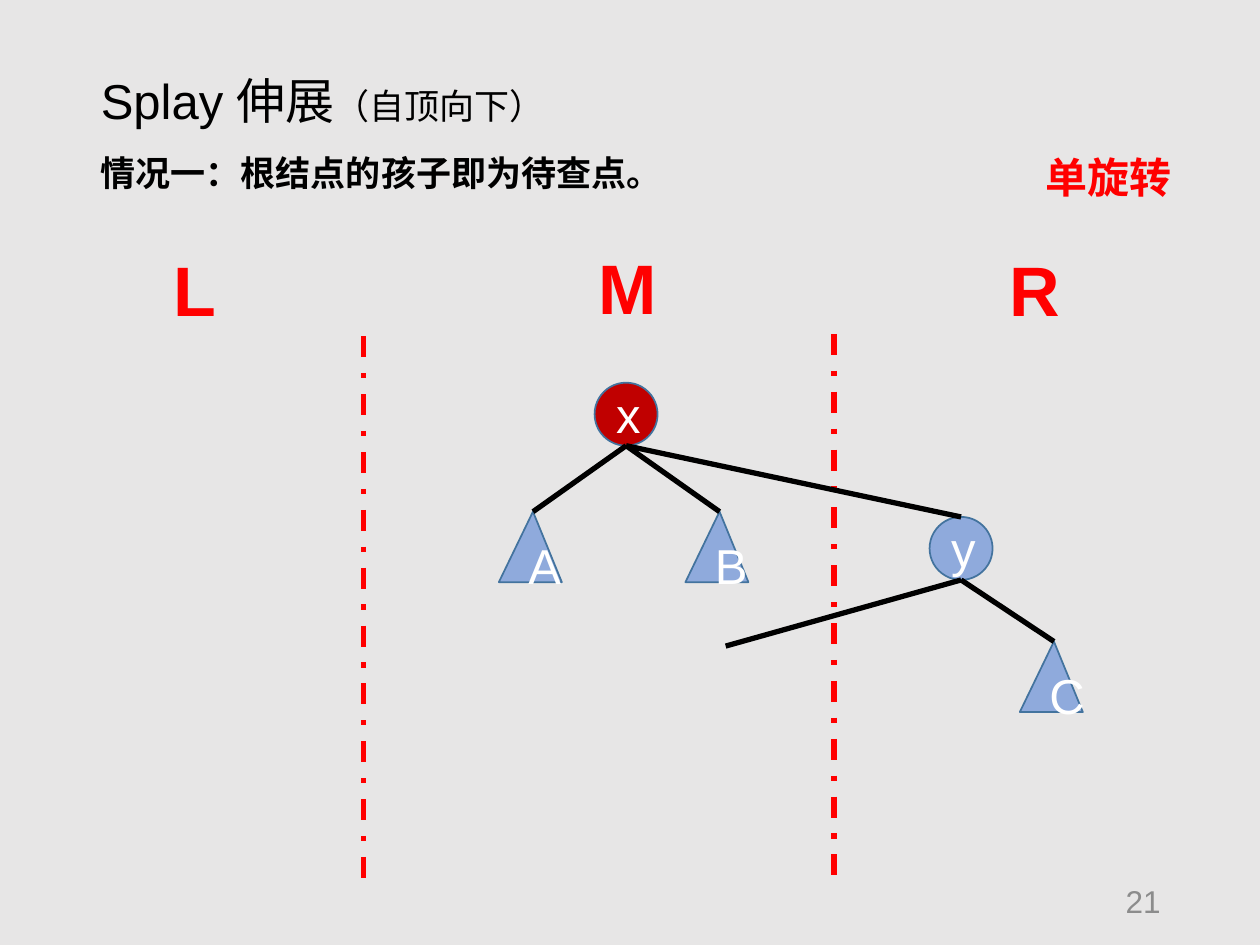
import pptx
import pptx.dml.color
import pptx.enum.dml
import pptx.enum.shapes
import pptx.enum.text
import pptx.util
from pptx.oxml.ns import qn

Pt = pptx.util.Pt
RGB = pptx.dml.color.RGBColor
MSO_SHAPE = pptx.enum.shapes.MSO_SHAPE
ALIGN = pptx.enum.text.PP_ALIGN
ANCHOR = pptx.enum.text.MSO_ANCHOR

BACKGROUND = RGB(0xE7, 0xE6, 0xE6)
BLACK = RGB(0x00, 0x00, 0x00)
WHITE = RGB(0xFF, 0xFF, 0xFF)
RED = RGB(0xFF, 0x00, 0x00)
DARK_RED = RGB(0xC0, 0x00, 0x00)
BLUE = RGB(0x8F, 0xAA, 0xDC)
OUTLINE = RGB(0x43, 0x73, 0x9E)
GRAY = RGB(0x8C, 0x8C, 0x8C)

NODE = 36
SUBTREE_HEIGHT = 40.3
APEX = 0.542


def write(frame, *parts, color=BLACK, bold=False, align=ALIGN.LEFT,
          anchor=ANCHOR.TOP):
    """Fill the frame with one paragraph of (text, size) parts."""
    frame.word_wrap = True
    frame.auto_size = pptx.enum.text.MSO_AUTO_SIZE.NONE
    frame.vertical_anchor = anchor
    paragraph = frame.paragraphs[0]
    paragraph.alignment = align
    for text, size in parts:
        run = paragraph.add_run()
        run.text = text
        run.font.name = "Arial"
        run.font.size = Pt(size)
        run.font.bold = bold
        run.font.color.rgb = color


class TreeSlide:
    def __init__(self, deck):
        self.slide = deck.slides.add_slide(deck.slide_layouts[5])
        fill = self.slide.background.fill
        fill.solid()
        fill.fore_color.rgb = BACKGROUND

    def title(self, left, top, width, height, *parts):
        heading = self.slide.shapes.title
        heading.left, heading.top = Pt(left), Pt(top)
        heading.width, heading.height = Pt(width), Pt(height)
        write(heading.text_frame, *parts)

    def text(self, left, top, width, height, words, size, **style):
        box = self.slide.shapes.add_textbox(
            Pt(left), Pt(top), Pt(width), Pt(height))
        write(box.text_frame, (words, size), **style)

    def line(self, start, end, color=BLACK, dash=None):
        connector = self.slide.shapes.add_connector(
            pptx.enum.shapes.MSO_CONNECTOR.STRAIGHT,
            *(Pt(value) for value in (*start, *end)))
        connector.line.color.rgb = color
        connector.line.width = Pt(3)
        if dash is not None:
            connector.line.dash_style = dash
        properties = connector._element.spPr
        properties.append(properties.makeelement(qn("a:effectLst"), {}))
        return connector

    def shape(self, kind, left, top, height, letter, fill):
        item = self.slide.shapes.add_shape(
            kind, Pt(left), Pt(top), Pt(NODE), Pt(height))
        item.shadow.inherit = False
        item.fill.solid()
        item.fill.fore_color.rgb = fill
        item.line.color.rgb = OUTLINE
        item.line.width = Pt(1)
        write(item.text_frame, (letter, 28), color=WHITE,
              align=ALIGN.CENTER, anchor=ANCHOR.MIDDLE)
        return item

    def node(self, top_point, letter, fill):
        x, y = top_point
        return self.shape(MSO_SHAPE.OVAL, x - NODE / 2, y, NODE, letter, fill)

    def subtree(self, apex, letter):
        x, y = apex
        triangle = self.shape(MSO_SHAPE.ISOSCELES_TRIANGLE, x - APEX * NODE, y,
                              SUBTREE_HEIGHT, letter, BLUE)
        triangle.adjustments[0] = APEX


def main():
    deck = pptx.Presentation()
    deck.slide_width, deck.slide_height = Pt(720), Pt(540)
    page = TreeSlide(deck)

    page.title(50.4, 36.7, 364.3, 41, ("Splay 伸展", 28), ("（自顶向下）", 20))
    page.text(50.4, 82.8, 481, 31.7, "情况一：根结点的孩子即为待查点。", 20,
              bold=True)
    page.text(590.4, 82.8, 98, 36, "单旋转", 24, color=RED, bold=True)

    for name, left, top, width in (("L", 92.2, 137.5, 33.1),
                                   ("M", 334.8, 136.1, 47.5),
                                   ("R", 569.5, 137.5, 41.8)):
        page.text(left, top, width, 55.4, name, 40, color=RED, bold=True)
    for x, top in ((207.8, 192.2), (476.6, 190.8)):
        page.line((x, top), (x, top + 318.2), RED,
                  pptx.enum.dml.MSO_LINE.DASH_DOT)

    x_top, y_top = (357.8, 218.7), (549.2, 295.4)
    x_foot = (x_top[0], x_top[1] + NODE)
    y_foot = (y_top[0], y_top[1] + NODE)
    page.node(x_top, "x", DARK_RED)
    y_node = page.node(y_top, "y", BLUE)

    for letter, foot, apex in (("A", x_foot, (304.6, 292.4)),
                               ("B", x_foot, (411.2, 292.4)),
                               ("C", y_foot, (602.3, 366.6))):
        page.subtree(apex, letter)
        page.line(foot, apex)
    page.line(x_foot, y_top).end_connect(y_node, 0)
    page.line(y_foot, (414.7, 369.2))

    page.text(508.3, 500.4, 162, 28.8, "21", 18, color=GRAY,
              align=ALIGN.RIGHT, anchor=ANCHOR.MIDDLE)
    deck.save("out.pptx")


if __name__ == "__main__":
    main()
